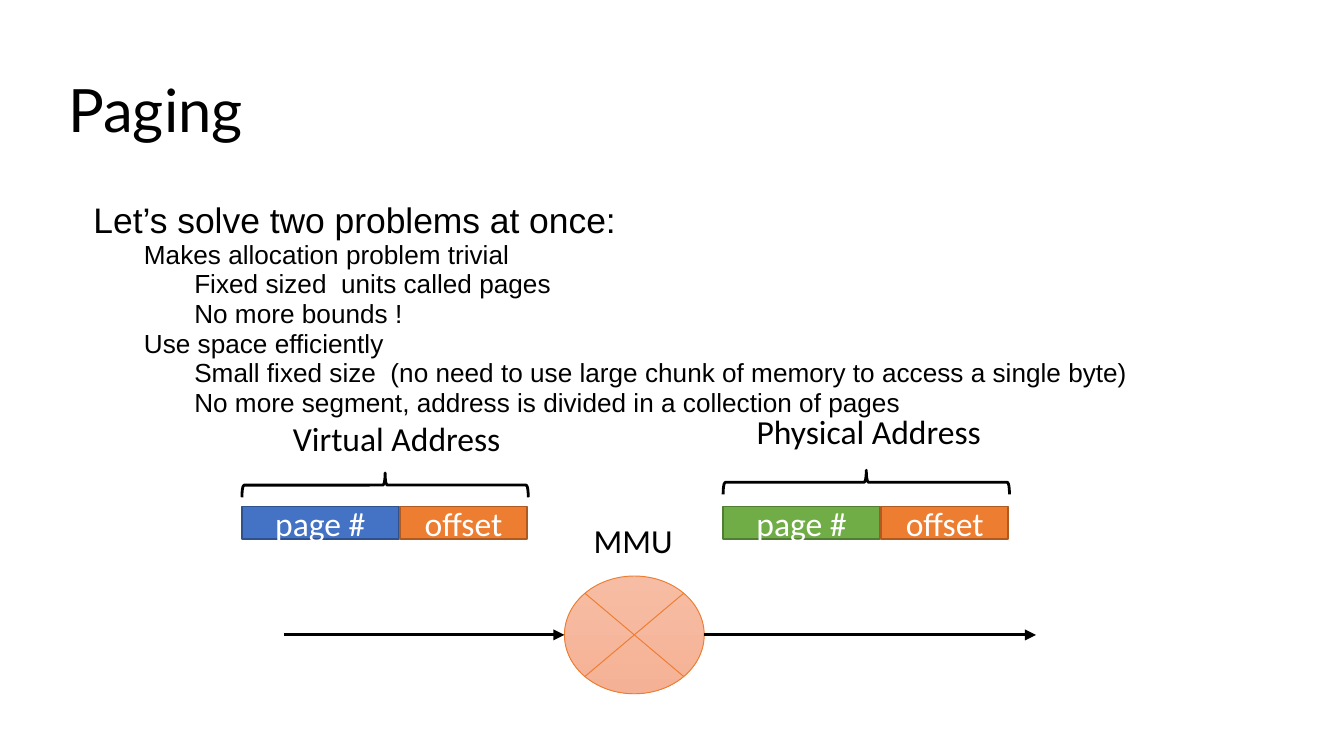
from dataclasses import dataclass
from lxml import etree
from pptx import Presentation
from pptx.dml.color import RGBColor
from pptx.enum import shapes, text
from pptx.oxml import ns
from pptx.util import Pt


@dataclass(frozen=True)
class Theme:
    ink: str = "000000"
    light: str = "FFFFFF"
    junction: tuple = ("F7BDA4", "F5B195")
    accent: str = "ED7D31"
    title_size: float = 32
    lead_size: float = 19
    point_size: float = 14
    label_size: float = 18
    title_font: str = "Lato"
    body_font: str = "Arial"
    label_font: str = "Calibri"


theme = Theme()
blue, orange, green = ("4472C4", "2F528F"), (theme.accent, "AE5A21"), ("70AD47", "507E32")

heading = "Paging"
points = [
    (0, "Let’s solve two problems at once:"),
    (1, "Makes allocation problem trivial"),
    (2, "Fixed sized  units called pages"),
    (2, "No more bounds !"),
    (1, "Use space efficiently"),
    (2, "Small fixed size  (no need to use large chunk of memory to access a single byte)"),
    (2, "No more segment, address is divided in a collection of pages"),
]
fields = [("page #", 0, 84), ("offset", 84.6, 68.2)]
addresses = [
    dict(label="Virtual Address", label_at=(149.8, 220.3, 126.7), left=129.6,
         brace_top=253.4, colours=(blue, orange)),
    dict(label="Physical Address", label_at=(398.2, 216.7, 136.1), left=387.4,
         brace_top=251.9, colours=(green, orange)),
]
unit = dict(label="MMU", label_at=(311, 275, 56.9), at=(302.4, 308.6, 74.9, 63.1))
arrows = [(152, 302.4), (377.3, 555)]
field_top, field_height = 271.4, 17.3
brace_width, brace_height = 153.4, 13
indent_first, indent_step = 13.5, 27

deck = Presentation()
deck.slide_width, deck.slide_height = Pt(720), Pt(405)
slide = deck.slides.add_slide(deck.slide_layouts[6])


def colour(value):
    return RGBColor.from_string(value)


def style(paragraph, font, size, ink=theme.ink):
    paragraph.font.name, paragraph.font.size = font, Pt(size)
    paragraph.font.color.rgb = colour(ink)


def text_frame(left, top, width, height, wrap=True):
    frame = slide.shapes.add_textbox(*map(Pt, (left, top, width, height))).text_frame
    frame.word_wrap = wrap
    return frame


def add_label(words, at):
    frame = text_frame(*at, 28.8, wrap=False)
    frame.text = words
    style(frame.paragraphs[0], theme.label_font, theme.label_size)


def add_preset(kind, at, line, weight):
    shape = slide.shapes.add_shape(kind, *map(Pt, at))
    shape.shadow.inherit = False
    shape.line.color.rgb, shape.line.width = colour(line), Pt(weight)
    return shape


def add_field(words, at, fill, line):
    field = add_preset(shapes.MSO_SHAPE.RECTANGLE, at, line, 1)
    field.fill.solid()
    field.fill.fore_color.rgb = colour(fill)
    frame = field.text_frame
    frame.text, frame.vertical_anchor = words, text.MSO_ANCHOR.MIDDLE
    frame.paragraphs[0].alignment = text.PP_ALIGN.CENTER
    style(frame.paragraphs[0], theme.label_font, theme.label_size, theme.light)


def add_brace(center, top):
    middle = top + brace_height / 2
    brace = add_preset(
        shapes.MSO_SHAPE.LEFT_BRACE,
        (center - brace_height / 2, middle - brace_width / 2, brace_height, brace_width),
        theme.ink, 1.5)
    brace.rotation = 90
    brace.fill.background()


def add_arrow(start, end, y):
    arrow = slide.shapes.add_connector(
        shapes.MSO_CONNECTOR.STRAIGHT, Pt(start), Pt(y), Pt(end), Pt(y))
    arrow.line.color.rgb, arrow.line.width = colour(theme.ink), Pt(1.5)
    etree.SubElement(arrow.line._get_or_add_ln(), ns.qn("a:tailEnd"), type="triangle")
    etree.SubElement(arrow._element.spPr, ns.qn("a:effectLst"))


title = text_frame(29.5, 21.6, 661.7, 78.5)
title.text, title.vertical_anchor = heading, text.MSO_ANCHOR.MIDDLE
title.paragraphs[0].line_spacing = 0.9
style(title.paragraphs[0], theme.title_font, theme.title_size)

body = text_frame(29.5, 108.6, 661.7, 120)
for index, (level, words) in enumerate(points):
    paragraph = body.add_paragraph() if index else body.paragraphs[0]
    paragraph.text, paragraph.level, paragraph.line_spacing = words, level, 0.7
    properties = paragraph._p.get_or_add_pPr()
    properties.set("marL", str(Pt(indent_first + level * indent_step)))
    properties.set("indent", "0")
    if index:
        paragraph.space_before = Pt(4.1)
    style(paragraph, theme.body_font, theme.point_size if level else theme.lead_size)

junction = add_preset(
    shapes.MSO_SHAPE.FLOWCHART_SUMMING_JUNCTION, unit["at"], theme.accent, 0.5)
junction.fill.gradient()
junction.fill.gradient_angle = 270
for stop, shade in zip(junction.fill.gradient_stops, theme.junction):
    stop.color.rgb = colour(shade)
add_label(unit["label"], unit["label_at"])
for start, end in arrows:
    add_arrow(start, end, unit["at"][1] + unit["at"][3] / 2)

for address in addresses:
    left = address["left"]
    for (words, offset, width), (fill, line) in zip(fields, address["colours"]):
        add_field(words, (left + offset, field_top, width, field_height), fill, line)
    add_brace(left + brace_width / 2, address["brace_top"])
    add_label(address["label"], address["label_at"])

deck.save("out.pptx")
